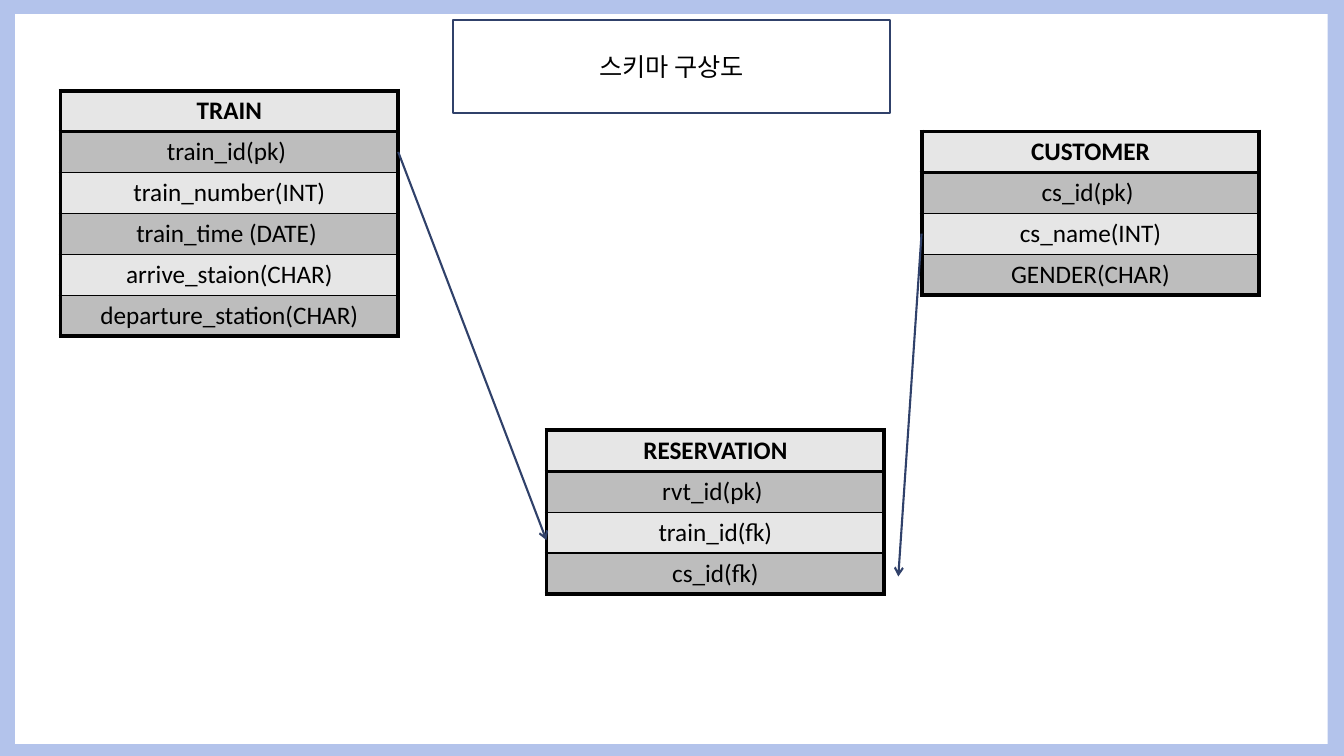
import pptx
import pptx.util
import pptx.dml.color
import pptx.enum.shapes
import pptx.enum.text
import pptx.oxml
import pptx.oxml.ns
import lxml.etree


def colour(value):
    return pptx.dml.color.RGBColor.from_string(value)


def write(frame, text, size=18, bold=False, ink="000000", font="Calibri"):
    frame.text = text
    paragraph = frame.paragraphs[0]
    paragraph.alignment = pptx.enum.text.PP_ALIGN.CENTER
    style = paragraph.runs[0].font
    style.size = pptx.util.Pt(size)
    style.bold = bold
    style.name = font
    style.color.rgb = colour(ink)


deck = pptx.Presentation()
deck.slide_width = pptx.util.Inches(13.33)
deck.slide_height = pptx.util.Inches(7.5)
across = deck.slide_width / 100
down = deck.slide_height / 100
slide = deck.slides.add_slide(deck.slide_layouts[5])
qn = pptx.oxml.ns.qn

margins = [(0, 0, 100, 100, "6182D6", 48), (1.12, 1.87, 97.67, 96.53, "FFFFFF", 100)]
for left, top, width, height, tint, opacity in margins:
    panel = slide.shapes.add_shape(
        pptx.enum.shapes.MSO_SHAPE.RECTANGLE,
        int(left * across), int(top * down), int(width * across), int(height * down))
    panel.shadow.inherit = False
    panel.fill.solid()
    panel.fill.fore_color.rgb = colour(tint)
    panel.line.fill.background()
    if opacity < 100:
        tone = panel.element.spPr.find(qn("a:solidFill"))[0]
        lxml.etree.SubElement(tone, qn("a:alpha"), val=str(opacity * 1000))

entity_width = 25.13
row_height = 5.4
entities = {
    "TRAIN": (4.5, 12, ["train_id(pk) ", "train_number(INT)", "train_time (DATE) ",
                        "arrive_staion(CHAR)", "departure_station(CHAR)"]),
    "CUSTOMER": (68.57, 17.4, ["cs_id(pk) ", "cs_name(INT)", "GENDER(CHAR)"]),
    "RESERVATION": (40.66, 56.93, ["rvt_id(pk) ", "train_id(fk)", "cs_id(fk)"]),
}
for entity, (left, top, fields) in entities.items():
    rows = [entity] + fields
    last = len(rows) - 1
    schema = slide.shapes.add_table(
        len(rows), 1, int(left * across), int(top * down),
        int(entity_width * across), int(row_height * down * len(rows))).table
    schema.first_row = False
    schema.horz_banding = False
    for index, label in enumerate(rows):
        cell = schema.cell(index, 0)
        write(cell.text_frame, label, bold=index == 0)
        cell.vertical_anchor = pptx.enum.text.MSO_ANCHOR.MIDDLE
        cell.fill.solid()
        cell.fill.fore_color.rgb = colour("BDBDBD" if index % 2 else "E6E6E6")
        above = {0: 3.15, 1: 2.79}.get(index, 1)
        below = {0: 2.79, last: 3.15}.get(index, 1)
        edges = [("L", 3.15), ("R", 3.15), ("T", above), ("B", below)]
        for place, (side, weight) in enumerate(edges):
            cell._tc.get_or_add_tcPr().insert(place, pptx.oxml.parse_xml(
                f'<a:ln{side} {pptx.oxml.ns.nsdecls("a")} w="{pptx.util.Pt(weight)}">'
                f'<a:solidFill><a:srgbClr val="000000"/></a:solidFill></a:ln{side}>'))

train_left, train_top, _ = entities["TRAIN"]
customer_left, customer_top, _ = entities["CUSTOMER"]
reservation_left, reservation_top, _ = entities["RESERVATION"]
references = [
    (train_left + entity_width, train_top + 1.5 * row_height,
     reservation_left, reservation_top + 2.69 * row_height),
    (customer_left, customer_top + 2.5 * row_height,
     66.84, reservation_top + 3.58 * row_height),
]
for start_x, start_y, end_x, end_y in references:
    reference = slide.shapes.add_connector(
        pptx.enum.shapes.MSO_CONNECTOR.STRAIGHT,
        int(start_x * across), int(start_y * down), int(end_x * across), int(end_y * down))
    reference.line.color.rgb = colour("30416A")
    reference.line.width = pptx.util.Pt(1.5)
    lxml.etree.SubElement(reference.line._get_or_add_ln(), qn("a:tailEnd"), type="arrow")
    lxml.etree.SubElement(reference.element.spPr, qn("a:effectLst"))

heading = slide.shapes.title
heading.left, heading.top = int(33.68 * across), int(2.67 * down)
heading.width, heading.height = int(32.56 * across), int(12.27 * down)
heading.fill.solid()
heading.fill.fore_color.rgb = colour("FFFFFF")
heading.line.color.rgb = colour("30416A")
heading.line.width = pptx.util.Pt(1.5)
heading.text_frame.vertical_anchor = pptx.enum.text.MSO_ANCHOR.MIDDLE
write(heading.text_frame, "스키마 구상도")
heading.element.getparent().append(heading.element)

deck.save("out.pptx")
